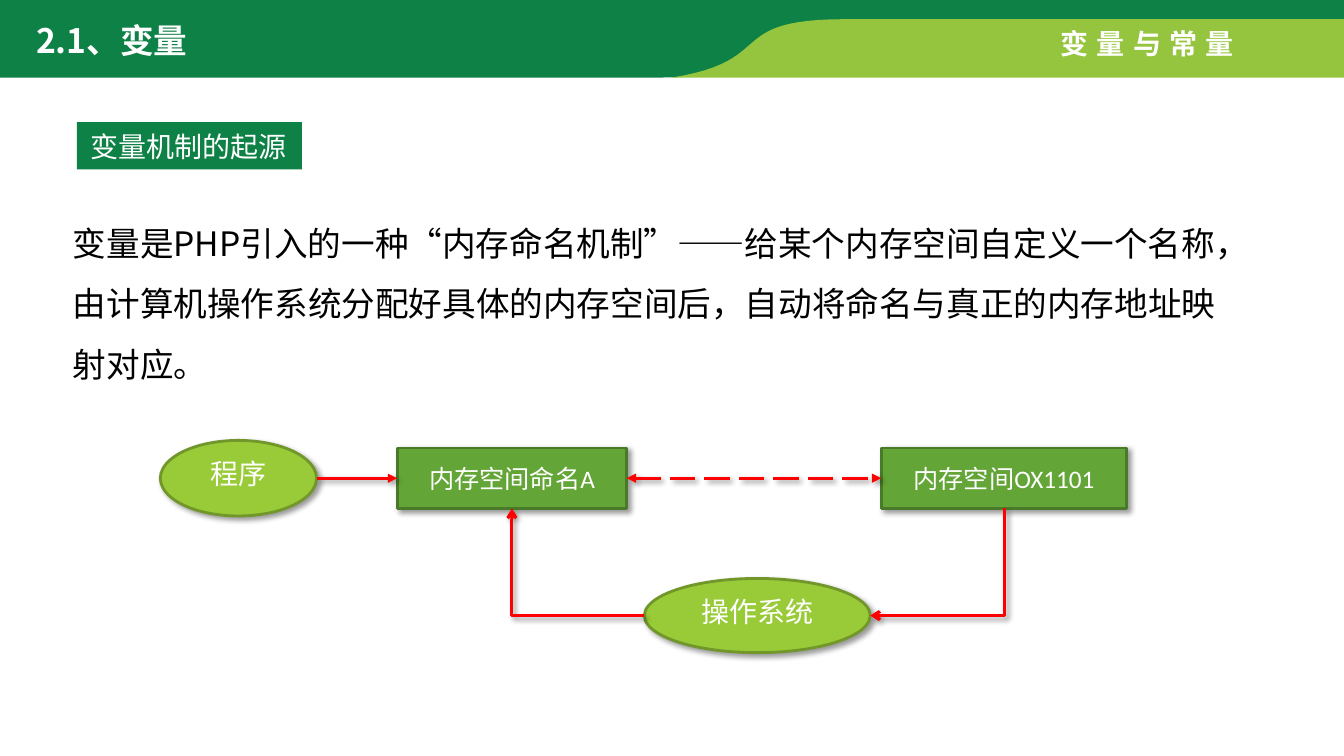
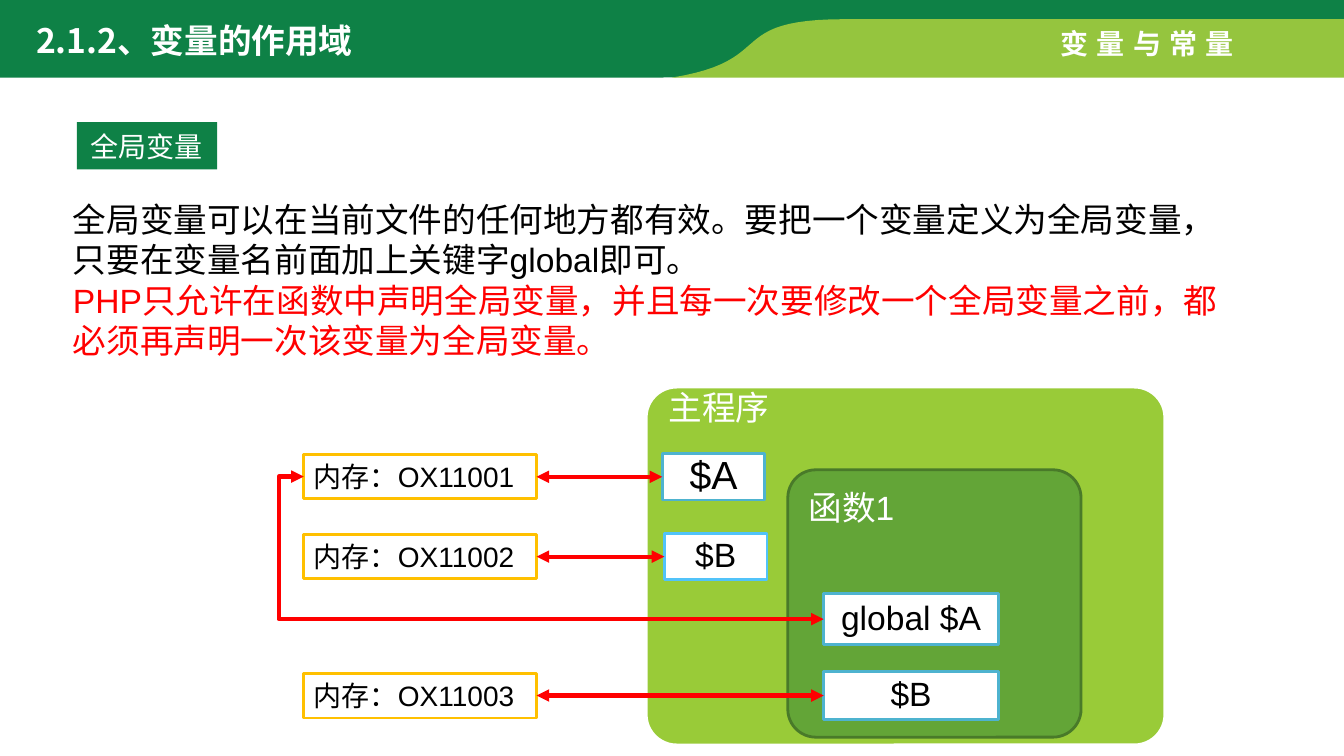
import pptx
import pptx.dml.color
import pptx.enum.dml
import pptx.enum.shapes
import pptx.enum.text
import pptx.oxml
import pptx.oxml.ns
import pptx.util

Pt = pptx.util.Pt
SHAPE = pptx.enum.shapes.MSO_SHAPE
LINK = pptx.enum.shapes.MSO_CONNECTOR
ANCHOR = pptx.enum.text.MSO_ANCHOR
ALIGN = pptx.enum.text.PP_ALIGN
FIT = pptx.enum.text.MSO_AUTO_SIZE

COLORS = {
    "green": "0E8146", "lime": "95C53E", "white": "FFFFFF", "black": "000000",
    "red": "FF0000", "oval": "99CB38", "oval edge": "719629",
    "leaf": "63A537", "leaf edge": "497A29", "amber": "FFC000",
    "teal": "4EB3CF", "sky": "51C3F9",
}
CJK = "Noto Sans CJK SC"
CHAPTER = "变量与常量"

# Outlines: a pair is a corner, three pairs are a Bezier curve
HEADER_BAND = [(0, -2), (960, -2), (960, 17.5), (595.5, 17.5), (582.5, 20),
               ((523.5, 31.7), (554.4, 55.4), (471.6, 55.4)), (0, 55.4)]
CHAPTER_BAND = [(604, 13.7), (960, 13.7), (960, 55.4), (480, 55.4),
                ((556.6, 43.2), (516.2, 13.7), (604, 13.7))]

ORIGIN = {
    "title": "2.1、变量",
    "label": ("变量机制的起源", 160.6),
    "body": [("变量是PHP引入的一种“内存命名机制”——给某个内存空间自定义一个名称，"
              "由计算机操作系统分配好具体的内存空间后，自动将命名与真正的内存地址映射对应。", "black")],
    "body_top": 141, "font": CJK, "spacing": 1.5,
}
# text, box, shape, fill, edge, size, anchor
ORIGIN_NODES = {
    "program": ("程序", (114.5, 314.6, 111.6, 54), SHAPE.OVAL, "oval", "oval edge", 20, ANCHOR.TOP),
    "name": ("内存空间命名A", (283.7, 320, 164, 43.2), SHAPE.RECTANGLE, "leaf", "leaf edge", 18, ANCHOR.MIDDLE),
    "system": ("操作系统", (460.3, 413.2, 161.3, 53), SHAPE.OVAL, "oval", "oval edge", 20, ANCHOR.TOP),
    "space": ("内存空间OX1101", (629.5, 320, 175.4, 43.2), SHAPE.RECTANGLE, "leaf", "leaf edge", 18, ANCHOR.MIDDLE),
}
# start, end, link kind, arrow at start, arrow at end, dash
ORIGIN_LINKS = [
    (("program", "right"), ("name", "left"), "straight", None, "triangle", False),
    (("system", "left"), ("name", "bottom"), "corner", None, "arrow", False),
    (("system", "right"), ("space", "bottom"), "corner", "arrow", None, False),
    (("name", "right"), ("space", "left"), "straight", "triangle", "triangle", True),
]

SCOPE = {
    "title": "2.1.2、变量的作用域",
    "label": ("全局变量", 100.2),
    "body": [("全局变量可以在当前文件的任何地方都有效。要把一个变量定义为全局变量，"
              "只要在变量名前面加上关键字global即可。", "black"),
             ("PHP只允许在函数中声明全局变量，并且每一次要修改一个全局变量之前，"
              "都必须再声明一次该变量为全局变量。", "red")],
    "body_top": 138.5, "font": "Arial", "spacing": 1,
}
# text, text position, box, corner, fill, edge
SCOPES = [
    ("主程序", (477.5, 279.5), (461.6, 276.5, 370.5, 255.6), 0.085, "oval", "white"),
    ("函数1", (577.5, 351), (562.7, 335.6, 209.5, 191), 0.105, "leaf", "leaf edge"),
]
MEMORY = [("内存：OX11001", 324.6), ("内存：OX11002", 381.7), ("内存：OX11003", 481.2)]
# text, box, edge, size, memory row, whether the arrow runs round the left
VARIABLES = [
    ("$A", (473, 324, 73.4, 33.2), "teal", 28, 0, False),
    ("$B", (474.5, 381, 73.4, 33.2), "sky", 24, 1, False),
    ("global $A", (588.4, 424, 124.8, 36.6), "teal", 24, 0, True),
    ("$B", (588.4, 479.6, 124.8, 34.4), "teal", 24, 2, False),
]
DETOUR = 18


def rgb(name):
    return pptx.dml.color.RGBColor.from_string(COLORS[name])


def side(box, where):
    left, top, width, height = box
    return {"left": (left, top + height / 2), "right": (left + width, top + height / 2),
            "bottom": (left + width / 2, top + height)}[where]


def add_effects(item, shadow):
    ns = pptx.oxml.ns.nsdecls("a")
    inner = (f'<a:outerShdw blurRad="{Pt(4)}" dist="{Pt(3)}" dir="2700000" rotWithShape="0">'
             '<a:srgbClr val="000000"><a:alpha val="40000"/></a:srgbClr></a:outerShdw>') if shadow else ""
    old = item._element.spPr.find(pptx.oxml.ns.qn("a:effectLst"))
    if old is not None:
        item._element.spPr.remove(old)
    item._element.spPr.append(pptx.oxml.parse_xml(f"<a:effectLst {ns}>{inner}</a:effectLst>"))


def paint(shape, fill, edge=None, shadow=False):
    shape.fill.solid()
    shape.fill.fore_color.rgb = rgb(fill)
    if edge:
        shape.line.color.rgb = rgb(edge)
        shape.line.width = Pt(2)
    else:
        shape.line.fill.background()
    shape.shadow.inherit = False
    if shadow:
        add_effects(shape, True)


def write(shape, paragraphs, size, font="Arial", bold=False, align=ALIGN.LEFT, anchor=ANCHOR.TOP,
          insets=(7.2, 3.6), wrap=True, spacing=1, tracking=0):
    """Fill a shape with (text, colour) paragraphs in one style."""
    frame = shape.text_frame
    frame.word_wrap = wrap
    frame.auto_size = FIT.NONE if wrap else FIT.SHAPE_TO_FIT_TEXT
    frame.vertical_anchor = anchor
    frame.margin_left = frame.margin_right = Pt(insets[0])
    frame.margin_top = frame.margin_bottom = Pt(insets[1])
    frame.text = "\n".join(text for text, color in paragraphs)
    for paragraph, (text, color) in zip(frame.paragraphs, paragraphs):
        paragraph.alignment = align
        paragraph.line_spacing = spacing
        for run in paragraph.runs:
            run.font.size = Pt(size)
            run.font.bold = bold
            run.font.name = font
            run.font.color.rgb = rgb(color)
            props = run.font._element
            props.append(pptx.oxml.parse_xml(
                f'<a:ea {pptx.oxml.ns.nsdecls("a")} typeface="{CJK}"/>'))
            if tracking:
                props.set("spc", str(tracking * 100))


def add_text(slide, box, paragraphs, size, **style):
    write(slide.shapes.add_textbox(*map(Pt, box)), paragraphs, size, **style)


def add_box(slide, kind, box, fill, edge=None, shadow=False):
    shape = slide.shapes.add_shape(kind, *map(Pt, box))
    paint(shape, fill, edge, shadow)
    return shape


def add_link(slide, start, end, width, head=None, tail=None, kind="straight",
             bend=None, dash=False, shadow=False):
    link = slide.shapes.add_connector(
        LINK.STRAIGHT if kind == "straight" else LINK.ELBOW, *map(Pt, start + end))
    link.line.color.rgb = rgb("red")
    link.line.width = Pt(width)
    if dash:
        link.line.dash_style = pptx.enum.dml.MSO_LINE.LONG_DASH
    ns = pptx.oxml.ns.nsdecls("a")
    for tag, arrow in (("headEnd", head), ("tailEnd", tail)):
        if arrow:
            link.line._get_or_add_ln().append(pptx.oxml.parse_xml(f'<a:{tag} {ns} type="{arrow}"/>'))
    geometry = link._element.spPr.find(pptx.oxml.ns.qn("a:prstGeom"))
    if kind == "corner":
        geometry.set("prst", "bentConnector2")
    if bend:
        guides = geometry.find(pptx.oxml.ns.qn("a:avLst"))
        guides.append(pptx.oxml.parse_xml(
            f'<a:gd {ns} name="adj1" fmla="val {round(bend * 100000)}"/>'))
    add_effects(link, shadow)


def add_band(slide, outline, fill, steps=24, detail=100):
    """Draw an outline; detail is the number of grid units per point."""
    points = []
    for part in outline:
        if len(part) == 2:
            points.append(part)
            continue
        a, (b, c, d) = points[-1], part
        for t in (step / steps for step in range(1, steps + 1)):
            u = 1 - t
            points.append(tuple(u**3 * a[i] + 3 * u * u * t * b[i] + 3 * u * t * t * c[i] + t**3 * d[i]
                                for i in (0, 1)))
    grid = [(round(x * detail), round(y * detail)) for x, y in points]
    builder = slide.shapes.build_freeform(*grid[0], scale=Pt(1) / detail)
    builder.add_line_segments(grid[1:], close=True)
    paint(builder.convert_to_shape(), fill)


def add_page(deck, page):
    """Add a slide with the header, section label and body text."""
    slide = deck.slides.add_slide(deck.slide_layouts[6])
    add_band(slide, HEADER_BAND, "green")
    add_band(slide, CHAPTER_BAND, "lime")
    add_text(slide, (18.7, 10.8, 271.4, 36), [(page["title"], "white")], 24, font=CJK, bold=True)
    add_text(slide, (750.2, 15.4, 146.2, 31.7), [(CHAPTER, "white")], 20,
             bold=True, wrap=False, tracking=6)
    label, width = page["label"]
    tag = add_box(slide, SHAPE.RECTANGLE, (55, 87.2, width, 33.8), "green")
    write(tag, [(label, "white")], 20, insets=(9.4, 5), wrap=False)
    add_text(slide, (45, page["body_top"], 851, 138), page["body"], 24,
             font=page["font"], spacing=page["spacing"])
    return slide


def build_origin(deck):
    slide = add_page(deck, ORIGIN)
    for text, box, kind, fill, edge, size, anchor in ORIGIN_NODES.values():
        node = add_box(slide, kind, box, fill, edge, shadow=True)
        write(node, [(text, "white")], size, font="Calibri", align=ALIGN.CENTER, anchor=anchor)
    for start, end, kind, head, tail, dash in ORIGIN_LINKS:
        ends = [side(ORIGIN_NODES[node][1], where) for node, where in (start, end)]
        add_link(slide, *ends, 2.25, head, tail, kind, dash=dash, shadow=True)


def build_scope(deck):
    slide = add_page(deck, SCOPE)
    for text, position, box, corner, fill, edge in SCOPES:
        scope = add_box(slide, SHAPE.ROUNDED_RECTANGLE, box, fill, edge)
        scope.adjustments[0] = corner
        add_text(slide, position + (150, 32), [(text, "white")], 24, insets=(0, 0), spacing=0.9)
    cells = [(217, top, 166.3, 31.7) for text, top in MEMORY]
    for (text, top), cell in zip(MEMORY, cells):
        write(add_box(slide, SHAPE.RECTANGLE, cell, "white", "amber"), [(text, "black")], 20)
    for text, box, edge, size, row, around in VARIABLES:
        variable = add_box(slide, SHAPE.RECTANGLE, box, "white", edge)
        write(variable, [(text, "black")], size, align=ALIGN.CENTER, anchor=ANCHOR.MIDDLE,
              insets=(0, 0), spacing=0.9)
        start, end = side(box, "left"), side(cells[row], "left" if around else "right")
        if around:
            add_link(slide, start, end, 3, "triangle", "triangle", "bent",
                     bend=1 + DETOUR / (start[0] - end[0]))
        else:
            add_link(slide, start, (end[0], start[1]), 3, "triangle", "triangle")


def main():
    deck = pptx.Presentation()
    deck.slide_width, deck.slide_height = Pt(960), Pt(540)
    build_origin(deck)
    build_scope(deck)
    deck.save("out.pptx")


if __name__ == "__main__":
    main()
